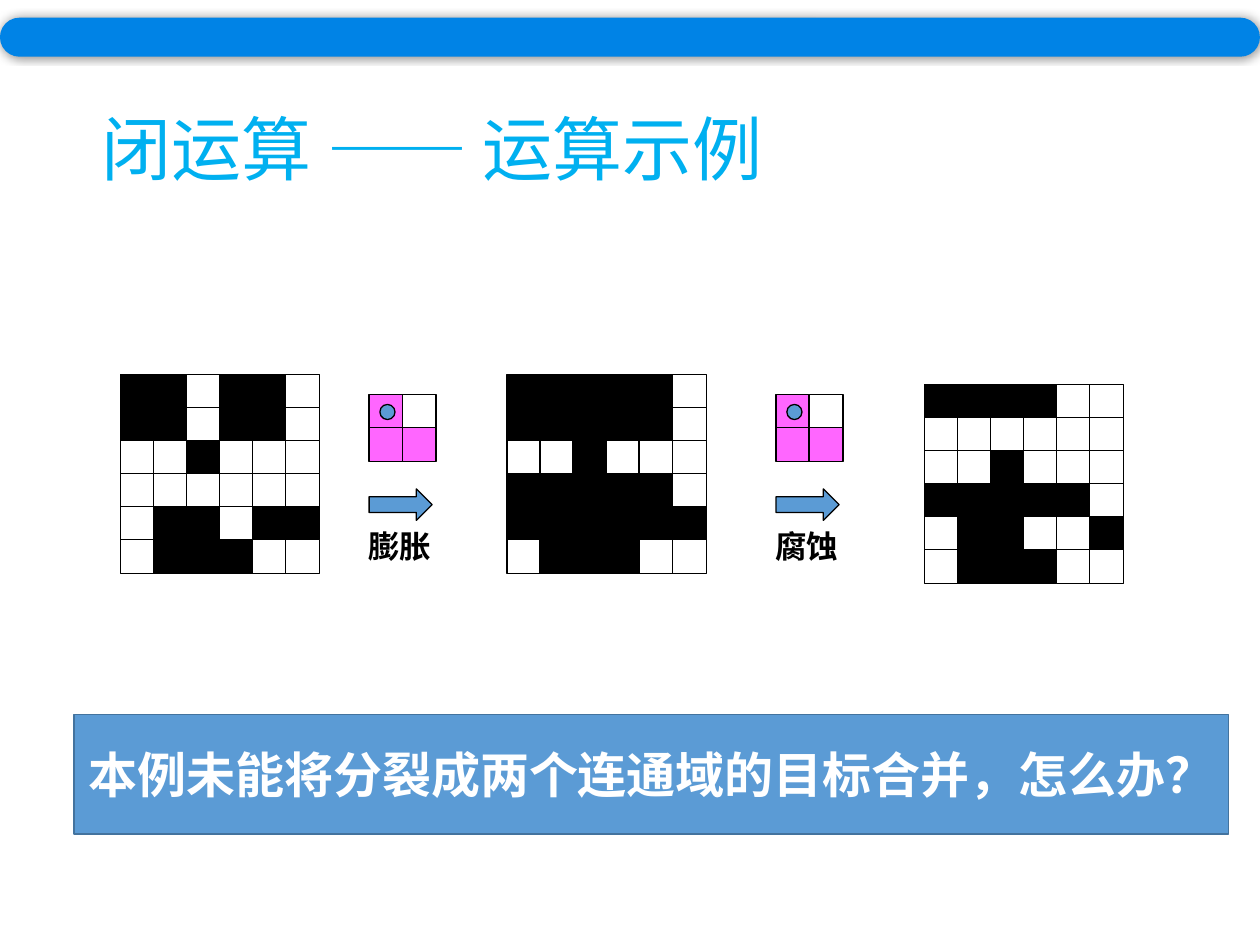
from lxml import etree
from pptx import Presentation
from pptx.dml.color import RGBColor
from pptx.enum import shapes, text
from pptx.oxml.ns import qn
from pptx.util import Inches, Pt

COLS, ROWS = 1000, 750
PITCH, CELL = 26.2, 27
CJK = "Noto Sans CJK SC"
SERIF = "Times New Roman"
BLUE = "5B9BD5"
FILLS = {"#": "000000", ".": "FFFFFF", "o": "FF66FF"}

BEFORE = ["##.##.", "##.##.", "..#...", "......", ".##.##", ".###.."]
DILATED = ["#####.", "#####.", "..#...", "#####.", "######", ".###.."]
CLOSED = ["####..", "......", "..#...", "#####.", ".##..#", ".###.."]
KERNEL = ["o.", "oo"]


def color(value):
    return RGBColor.from_string(value)


class Deck:
    def __init__(self):
        self.prs = Presentation()
        self.prs.slide_width, self.prs.slide_height = Inches(10), Inches(7.5)
        self.s = self.prs.slides.add_slide(self.prs.slide_layouts[6])

    def box(self, x, y, w, h):
        dx, dy = self.prs.slide_width / COLS, self.prs.slide_height / ROWS
        return round(x * dx), round(y * dy), round(w * dx), round(h * dy)

    def group(self):
        return self.s.shapes.add_group_shape()

    def shape(self, kind, at, fill, line="000000", width=0.75, parent=None):
        sp = (parent or self.s).shapes.add_shape(kind, *self.box(*at))
        sp.shadow.inherit = False
        sp.fill.solid()
        sp.fill.fore_color.rgb = color(fill)
        if line:
            sp.line.color.rgb = color(line)
            sp.line.width = Pt(width)
        else:
            sp.line.fill.background()
        return sp

    def rect(self, at, fill, **style):
        return self.shape(shapes.MSO_SHAPE.RECTANGLE, at, fill, **style)

    def label(self, sp, words, size, font, fill, bold=False, align=text.PP_ALIGN.LEFT,
              anchor=text.MSO_ANCHOR.TOP, spacing=None):
        tf = sp.text_frame
        tf.word_wrap = True
        tf.vertical_anchor = anchor
        p = tf.paragraphs[0]
        p.alignment = align
        p.line_spacing = spacing
        r = p.add_run()
        r.text = words
        r.font.size, r.font.bold, r.font.name = Pt(size), bold, font
        r.font.color.rgb = color(fill)
        etree.SubElement(r.font._element, qn("a:ea"), typeface=CJK)

    def textbox(self, at, words, size, font, fill, parent=None, **style):
        sp = (parent or self.s).shapes.add_textbox(*self.box(*at))
        self.label(sp, words, size, font, fill, **style)

    def pixels(self, x, y, pattern, parent):
        for row, marks in enumerate(pattern):
            for col, mark in enumerate(marks):
                at = (x + col * PITCH, y + row * PITCH, CELL, CELL)
                self.rect(at, FILLS[mark], parent=parent)

    def step(self, x, name):
        g = self.group()
        self.shape(shapes.MSO_SHAPE.RIGHT_ARROW, (x, 388, 50, 25), BLUE, parent=g)
        self.pixels(x, 313, KERNEL, g)
        self.shape(shapes.MSO_SHAPE.OVAL, (x + 8.5, 321, 12, 12), BLUE, parent=g)
        self.textbox((x - 10.5, 413, 83, 40), name, 18, SERIF, "000000",
                     parent=g, bold=True)

    def bar(self, at, fill):
        sp = self.shape(shapes.MSO_SHAPE.ROUNDED_RECTANGLE, at, fill, line=None)
        sp.adjustments[0] = 0.5
        effects = sp._element.spPr.find(qn("a:effectLst"))
        shadow = etree.SubElement(effects, qn("a:outerShdw"), blurRad=str(Pt(5)),
                                  dist="0", dir="0", rotWithShape="0")
        tone = etree.SubElement(shadow, qn("a:srgbClr"), val="000000")
        etree.SubElement(tone, qn("a:alpha"), val="40000")


def main():
    deck = Deck()
    deck.textbox((71, 73, 710, 96), "闭运算 —— 运算示例", 40, CJK, "00B0F0",
                 anchor=text.MSO_ANCHOR.MIDDLE, spacing=0.9)
    deck.pixels(95.5, 297, BEFORE, deck.group())
    deck.step(293, "膨胀")
    deck.pixels(402.5, 297, DILATED, deck.group())
    deck.step(616, "腐蚀")
    deck.pixels(733.5, 305, CLOSED, deck.group())
    deck.bar((0, 14, 1000, 31), "0083E6")
    question = deck.rect((59, 567, 916, 95), BLUE, line="43739E", width=1)
    deck.label(question, "本例未能将分裂成两个连通域的目标合并，怎么办？", 28, SERIF, "FFFFFF",
               bold=True, align=text.PP_ALIGN.CENTER, anchor=text.MSO_ANCHOR.MIDDLE)
    deck.prs.save("out.pptx")


if __name__ == "__main__":
    main()
